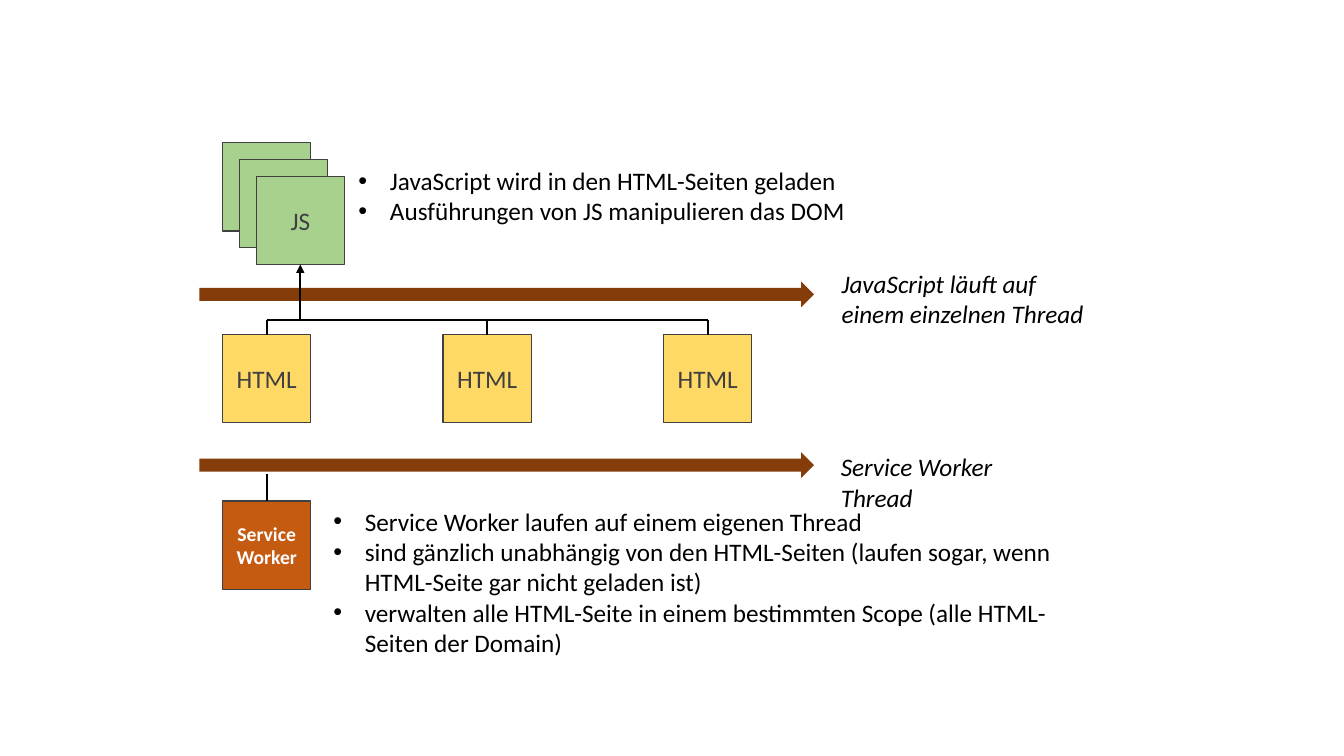
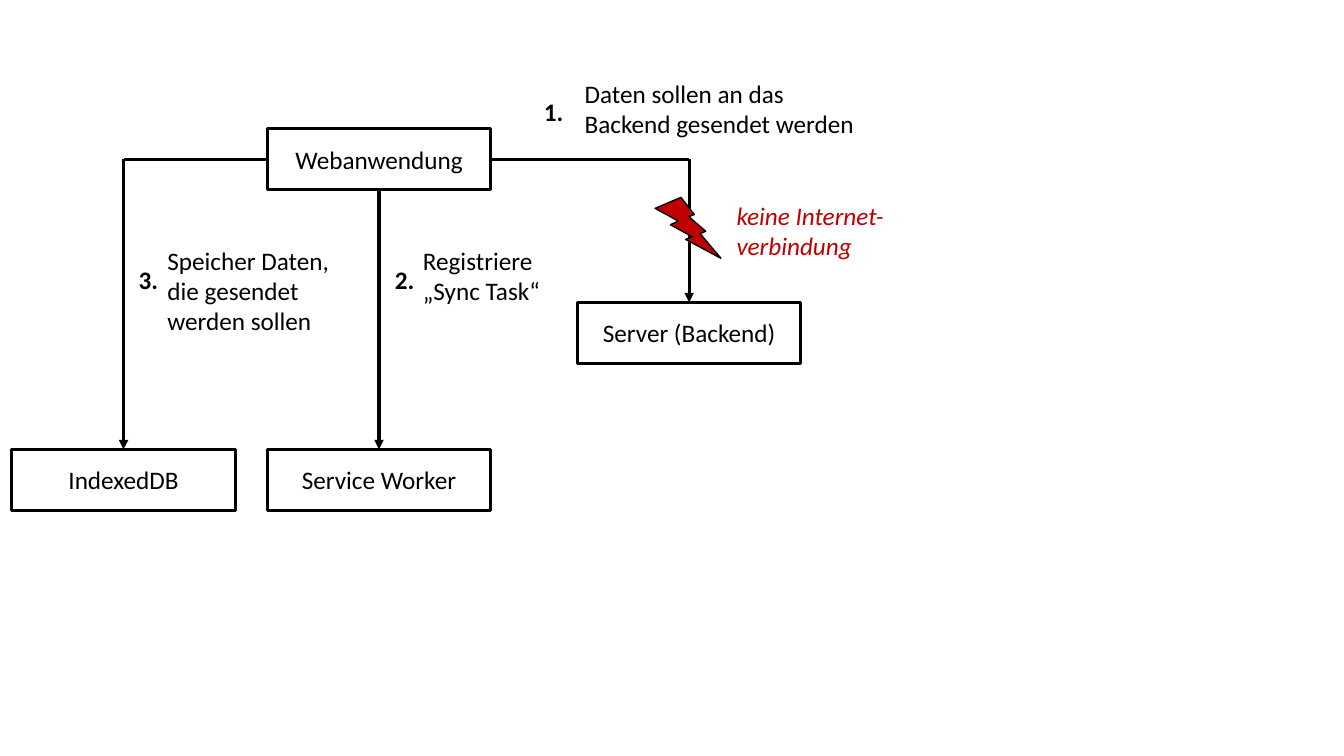
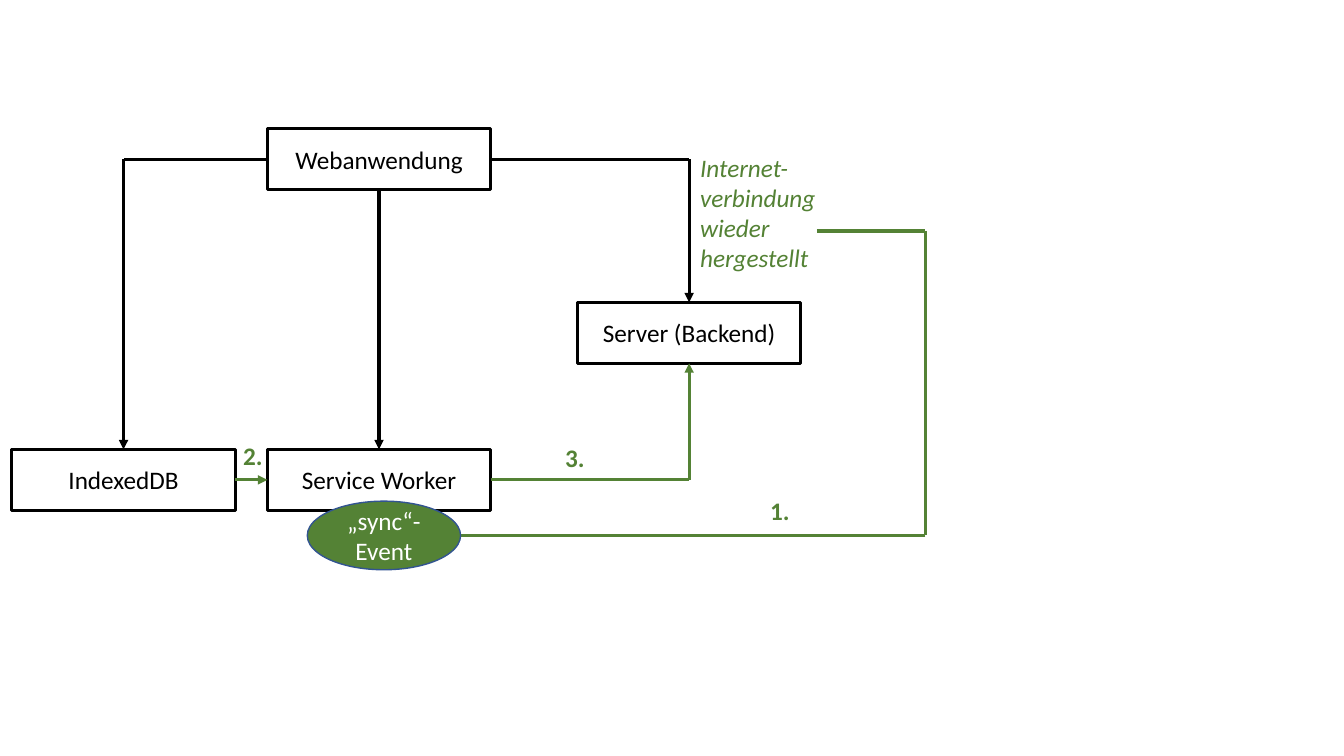
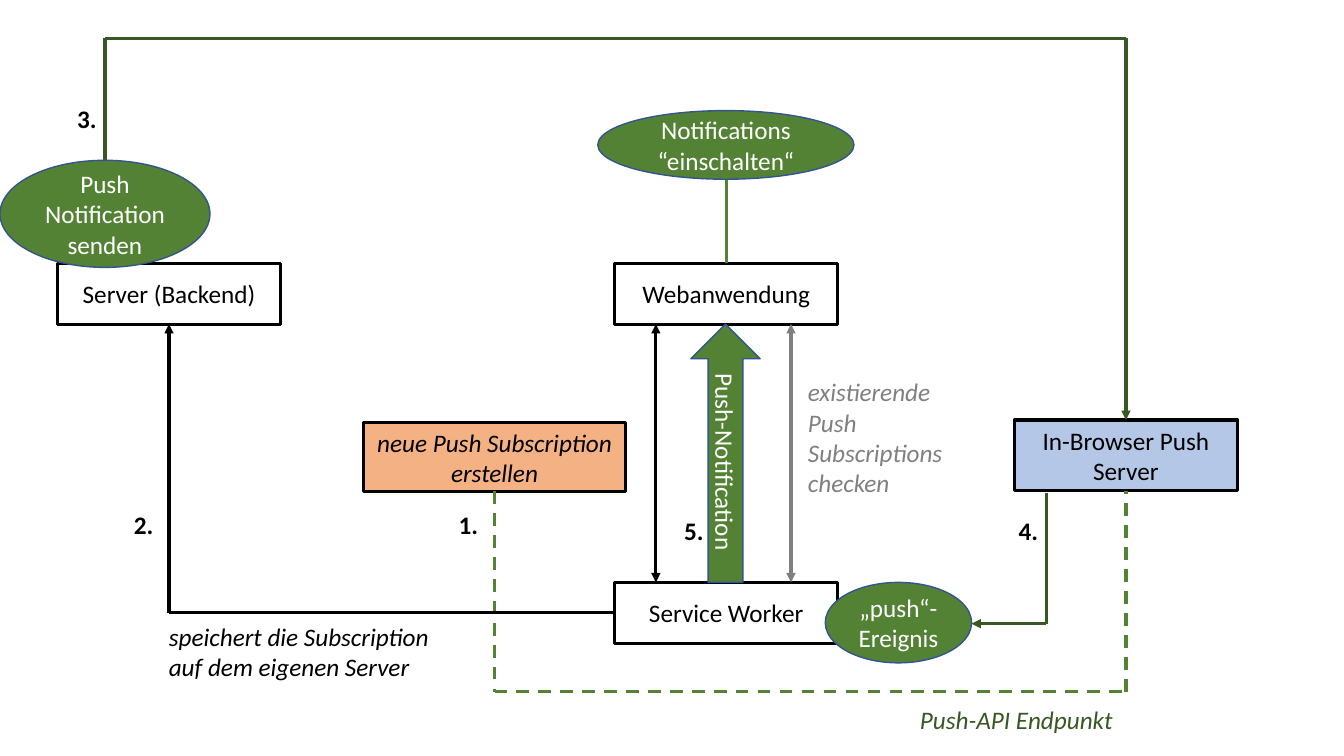
import itertools
import pptx
import pptx.util
import pptx.dml.color
import pptx.enum.dml
import pptx.enum.shapes
import pptx.enum.text
import pptx.oxml
import pptx.oxml.ns

Pt = pptx.util.Pt
KIND = pptx.enum.shapes.MSO_SHAPE
ALIGN = pptx.enum.text.PP_ALIGN

# Shared look
FONT = "Calibri"
BLACK, WHITE, DARK, GREY = "000000", "FFFFFF", "404040", "808080"
GREEN, DEEP, EDGE = "548235", "385723", "325491"
LIME, GOLD, RUST, BROWN = "A9D18E", "FFD966", "C55A11", "843C0B"
RED, PEACH, BLUE = "C00000", "F4B183", "B4C7E7"
WIDE, HIGH = 159.5, 43.5    # standard box
SIDE = 63                   # square tile


def color(code):
    return pptx.dml.color.RGBColor.from_string(code)


def node(parent, tag, **attrs):
    item = pptx.oxml.parse_xml(
        f"<{tag} {pptx.oxml.ns.nsdecls('a')}/>")
    for key, value in attrs.items():
        item.set(key, value)
    parent.append(item)


def write(frame, text, size=18, ink=BLACK, bold=False, italic=False,
          align=ALIGN.LEFT, bullet=False):
    """Fill a frame, one paragraph per line of text."""
    for num, row in enumerate(text.split("\n")):
        para = frame.add_paragraph() if num else frame.paragraphs[0]
        para.alignment = align
        if bullet:
            props = para._p.get_or_add_pPr()
            props.set("marL", str(Pt(22.5)))
            props.set("indent", str(-Pt(22.5)))
            node(props, "a:buFont", typeface="Arial")
            node(props, "a:buChar", char="•")
        run = para.add_run()
        run.text = row
        font = run.font
        font.name, font.size = FONT, Pt(size)
        font.bold, font.italic = bold, italic
        font.color.rgb = color(ink)


def label(slide, x, y, w, h, text, wrap=False, **style):
    frame = slide.shapes.add_textbox(Pt(x), Pt(y), Pt(w), Pt(h)).text_frame
    frame.word_wrap = wrap
    frame.auto_size = pptx.enum.text.MSO_AUTO_SIZE.SHAPE_TO_FIT_TEXT
    write(frame, text, **style)


def step(slide, x, y, num, ink=BLACK):
    label(slide, x, y, 28.5, 29, f"{num}.", bold=True, ink=ink)


def shape(slide, kind, x, y, w, h, fill, edge=None, width=1, text="", **style):
    item = slide.shapes.add_shape(kind, Pt(x), Pt(y), Pt(w), Pt(h))
    item.shadow.inherit = False
    item.fill.solid()
    item.fill.fore_color.rgb = color(fill)
    if edge:
        item.line.color.rgb = color(edge)
        item.line.width = Pt(width)
    else:
        item.line.fill.background()
    if text:
        frame = item.text_frame
        frame.word_wrap = True
        frame.vertical_anchor = pptx.enum.text.MSO_ANCHOR.MIDDLE
        write(frame, text, align=ALIGN.CENTER, **style)
    return item


def box(slide, x, y, text, w=WIDE, h=HIGH, fill=WHITE, **style):
    return shape(slide, KIND.RECTANGLE, x, y, w, h, fill, BLACK, 2.25,
                 text, **style)


def tile(slide, x, y, fill, text="", ink=DARK, **style):
    return shape(slide, KIND.RECTANGLE, x, y, SIDE, SIDE, fill, DARK,
                 text=text, ink=ink, **style)


def event(slide, x, y, w, h, text, kind=KIND.OVAL):
    return shape(slide, kind, x, y, w, h, GREEN, EDGE, text=text, ink=WHITE)


def site(item, side):
    """Middle of a side: 0 top, 1 left, 2 bottom, 3 right."""
    dx, dy = ((0.5, 0), (0, 0.5), (0.5, 1), (1, 0.5))[side]
    return (item.left.pt + dx * item.width.pt,
            item.top.pt + dy * item.height.pt)


def route(slide, *stops, ink=BLACK, width=2.25, dash=False,
          head=False, tail=False):
    """Straight lines through stops, each a point or (shape, side)."""
    legs = list(itertools.pairwise(stops))
    for num, ends in enumerate(legs):
        free = [isinstance(end[0], (int, float)) for end in ends]
        a, b = [end if loose else site(*end)
                for end, loose in zip(ends, free)]
        link = slide.shapes.add_connector(
            pptx.enum.shapes.MSO_CONNECTOR.STRAIGHT,
            Pt(a[0]), Pt(a[1]), Pt(b[0]), Pt(b[1]))
        if not free[0]:
            link.begin_connect(*ends[0])
        if not free[1]:
            link.end_connect(*ends[1])
        link.line.color.rgb = color(ink)
        link.line.width = Pt(width)
        if dash:
            link.line.dash_style = pptx.enum.dml.MSO_LINE.DASH
        pen = link.line._get_or_add_ln()
        if head and num == 0:
            node(pen, "a:headEnd", type="triangle")
        if tail and num == len(legs) - 1:
            node(pen, "a:tailEnd", type="triangle")
        node(link._element.spPr, "a:effectLst")


# Slide 1: the two threads
def thread(slide, x, y):
    shape(slide, KIND.RIGHT_ARROW, x, y, 439, 18.5, BROWN)


def pages(slide, x, y):
    """JavaScript stack above its thread and the HTML pages."""
    for num in range(3):
        front = tile(slide, x + 16.5 + 12 * num, y + 12 * num, LIME,
                     "JS" if num == 2 else "")
    thread(slide, x, y + 99)
    bus = y + 126.5
    tops = []
    for num in range(3):
        page = tile(slide, x + 16.5 + 157.5 * num, y + 137, GOLD, "HTML")
        mid = site(page, 0)[0]
        tops.append(mid)
        route(slide, (page, 0), (mid, bus), width=1.5)
    route(slide, (tops[0], bus), (tops[-1], bus), width=1.5)
    route(slide, (site(front, 2)[0], bus), (front, 2), width=1.5, tail=True)
    label(slide, x + 106.5, y + 12.5, 371.5, 51,
          "JavaScript wird in den HTML-Seiten geladen\n"
          "Ausführungen von JS manipulieren das DOM", wrap=True, bullet=True)
    label(slide, x + 451.5, y + 86, 189.5, 51,
          "JavaScript läuft auf\neinem einzelnen Thread", italic=True)


def worker(slide, x, y):
    """Service worker below its own thread."""
    thread(slide, x, y)
    unit = tile(slide, x + 16.5, y + 35, RUST, "Service Worker",
                ink=WHITE, size=14, bold=True)
    route(slide, (site(unit, 0)[0], y + 15.5), (unit, 0), width=1.5)
    label(slide, x + 451, y - 4, 150, 51, "Service Worker Thread",
          wrap=True, italic=True)
    label(slide, x + 88.5, y + 35, 561, 116.5,
          "Service Worker laufen auf einem eigenen Thread\n"
          "sind gänzlich unabhängig von den HTML-Seiten (laufen sogar, wenn "
          "HTML-Seite gar nicht geladen ist)\n"
          "verwalten alle HTML-Seite in einem bestimmten Scope "
          "(alle HTML-Seiten der Domain)", wrap=True, bullet=True)


# Slides 2 and 3: background sync
def flow(slide, x, y):
    """Web app linked to database, worker and server."""
    web = box(slide, x + 182.5, y, "Webanwendung")
    server = box(slide, x + 404, y + 124, "Server (Backend)")
    work = box(slide, x + 182.5, y + 229, "Service Worker")
    store = box(slide, x, y + 229, "IndexedDB")
    route(slide, (web, 2), (work, 0), tail=True)
    for side, goal in ((1, store), (3, server)):
        bend = (site(goal, 0)[0], site(web, side)[1])
        route(slide, (web, side), bend, (goal, 0), tail=True)
    return server, work, store


def offline(slide, x, y):
    flow(slide, x, y)
    shape(slide, KIND.LIGHTNING_BOLT, x + 459.5, y + 49, 47, 43.5, RED, BLACK)
    label(slide, x + 510.5, y + 47.5, 121, 51,
          "keine Internet-\nverbindung", ink=RED, italic=True)
    step(slide, x + 373, y - 26.5, 1)
    label(slide, x + 402, y - 39.5, 209.5, 51,
          "Daten sollen an das\nBackend gesendet werden")
    step(slide, x + 266.5, y + 93, 2)
    label(slide, x + 286.5, y + 79.5, 98.5, 51, "Registriere\n„Sync Task“")
    step(slide, x + 83.5, y + 93, 3)
    label(slide, x + 104, y + 79.5, 132, 73,
          "Speicher Daten,\ndie gesendet\nwerden sollen")


def online(slide, x, y):
    server, work, store = flow(slide, x, y)
    label(slide, x + 484.5, y + 13, 98, 94.5,
          "Internet-\nverbindung\nwieder\nhergestellt", ink=GREEN, italic=True)
    # Connection restored triggers the event
    route(slide, (x + 575, y + 73), (x + 652.5, y + 73),
          (x + 652.5, y + 290.5), (x + 320.5, y + 290.5), ink=GREEN)
    event(slide, x + 211, y + 266, 109.5, 49, "„sync“-Event")
    # Worker reads the data and sends it
    route(slide, (store, 3), (work, 1), ink=GREEN, tail=True)
    bend = (site(server, 2)[0], site(work, 3)[1])
    route(slide, (work, 3), bend, (server, 2), ink=GREEN, tail=True)
    for num, dx, dy in ((1, 534.5, 258), (2, 158, 219), (3, 388, 220.5)):
        step(slide, x + dx, y + dy, num, GREEN)


# Slide 4: push notifications
def push(slide, x, y):
    web = box(slide, x + 439, y + 188, "Webanwendung")
    work = box(slide, x + 439, y + 416, "Service Worker")
    server = box(slide, x + 41, y + 188, "Server (Backend)")
    hub = box(slide, x + 724.5, y + 300, "In-Browser Push Server",
              h=50.5, fill=BLUE)
    fresh = box(slide, x + 259.5, y + 302, "neue Push Subscription erstellen",
                w=187.5, h=49, fill=PEACH, italic=True)
    # Web app and worker
    for dx, ink in ((468.5, BLACK), (565, GREY)):
        route(slide, (x + dx, y + 416), (x + dx, y + 231.5), ink=ink,
              head=True, tail=True)
    label(slide, x + 570, y + 265.5, 116, 94.5,
          "existierende\nPush\nSubscriptions\nchecken", ink=GREY, italic=True)
    arrow = event(slide, x + 493.5, y + 231.5, 49.5, 184.5,
                  "Push-Notification", KIND.UP_ARROW)
    arrow.text_frame._txBody.bodyPr.set("vert", "vert")
    route(slide, (site(web, 0)[0], y + 128), (web, 0), ink=GREEN)
    event(slide, x + 427, y + 79, 183, 49, "Notifications “einschalten“")
    # Subscription to the push endpoint
    far = site(hub, 0)[0]
    route(slide, (fresh, 2), (site(fresh, 2)[0], y + 494), (far, y + 494),
          (hub, 2), ink=GREEN, dash=True)
    label(slide, x + 650, y + 499.5, 154, 29, "Push-API Endpunkt",
          ink=DEEP, italic=True)
    # Subscription stored on the server
    bend = (site(server, 2)[0], site(work, 1)[1])
    route(slide, (work, 1), bend, (server, 2), tail=True)
    label(slide, x + 113.5, y + 440, 206.5, 51,
          "speichert die Subscription\nauf dem eigenen Server", italic=True)
    # Server sends a push, the worker receives it
    route(slide, (x + 75, y + 114.5), (x + 75, y + 27.5), (far, y + 27.5),
          (hub, 0), ink=DEEP, tail=True)
    event(slide, x, y + 114.5, 150, 76.5, "Push Notification senden")
    route(slide, (x + 747.5, y + 352), (x + 747.5, y + 445.5),
          (x + 694, y + 445.5), ink=DEEP, tail=True)
    event(slide, x + 589.5, y + 416, 104.5, 57.5, "„push“- Ereignis")
    for num, dx, dy in ((1, 320.5, 360), (2, 88.5, 360), (3, 48, 70.5),
                        (4, 720.5, 364.5), (5, 481.5, 364.5)):
        step(slide, x + dx, y + dy, num)


def main():
    deck = pptx.Presentation()
    deck.slide_width, deck.slide_height = Pt(960), Pt(540)
    plan = (
        ((pages, 142.5, 102), (worker, 142.5, 323)),
        ((offline, 8.5, 92),),
        ((online, 8.5, 92),),
        ((push, 0, 0),),
    )
    for parts in plan:
        slide = deck.slides.add_slide(deck.slide_layouts[6])
        for draw, x, y in parts:
            draw(slide, x, y)
    deck.save("out.pptx")


if __name__ == "__main__":
    main()
